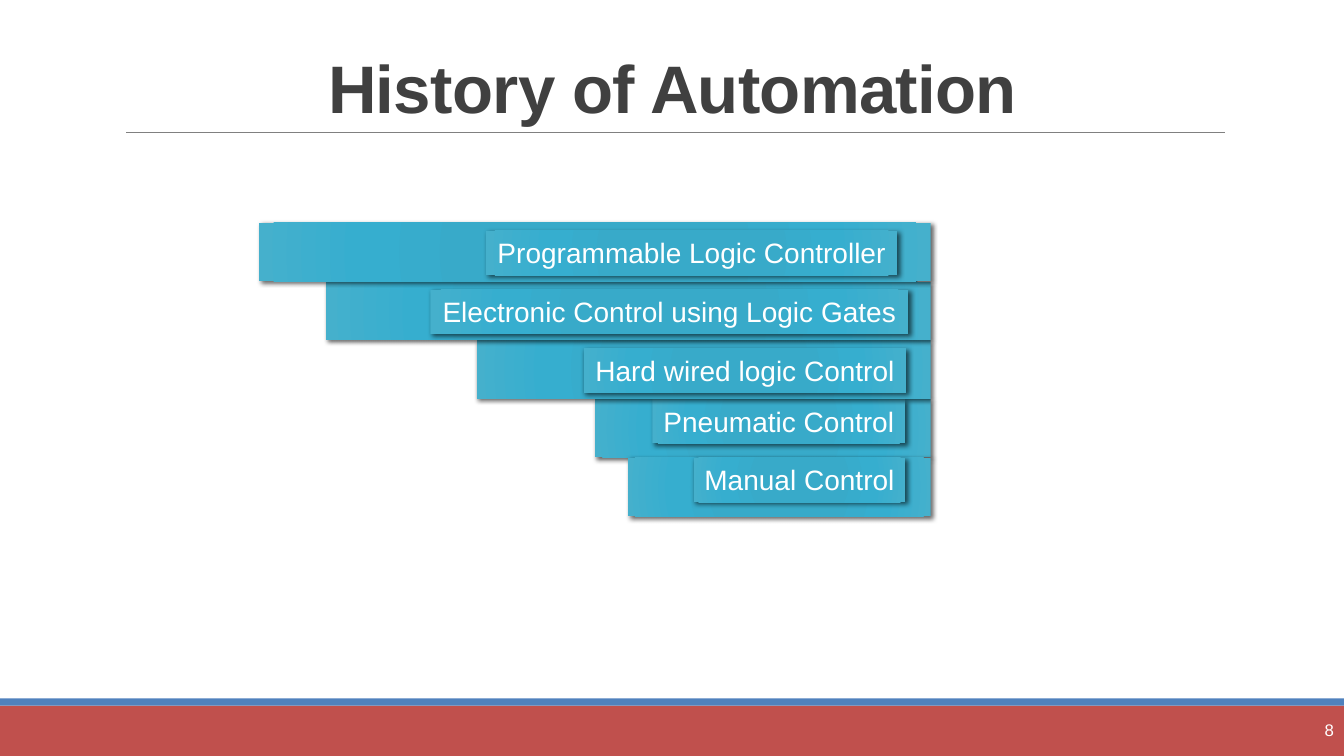
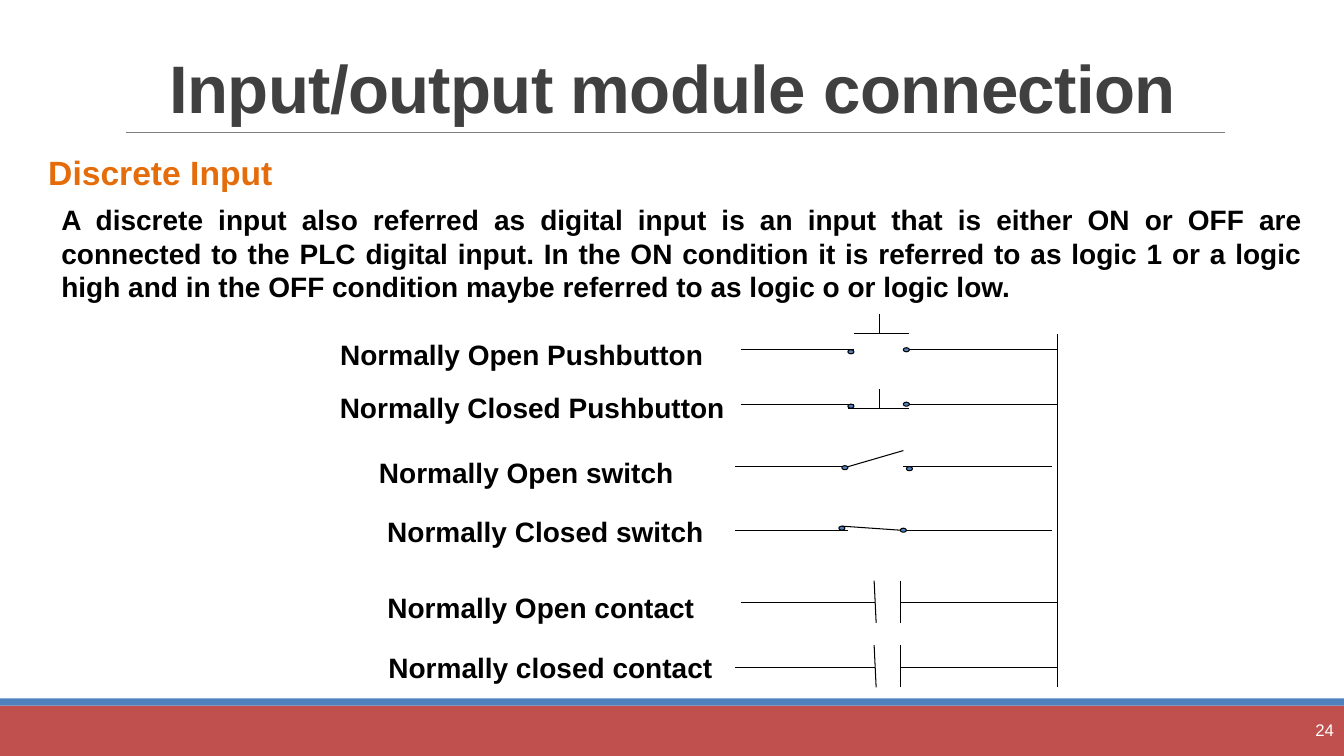
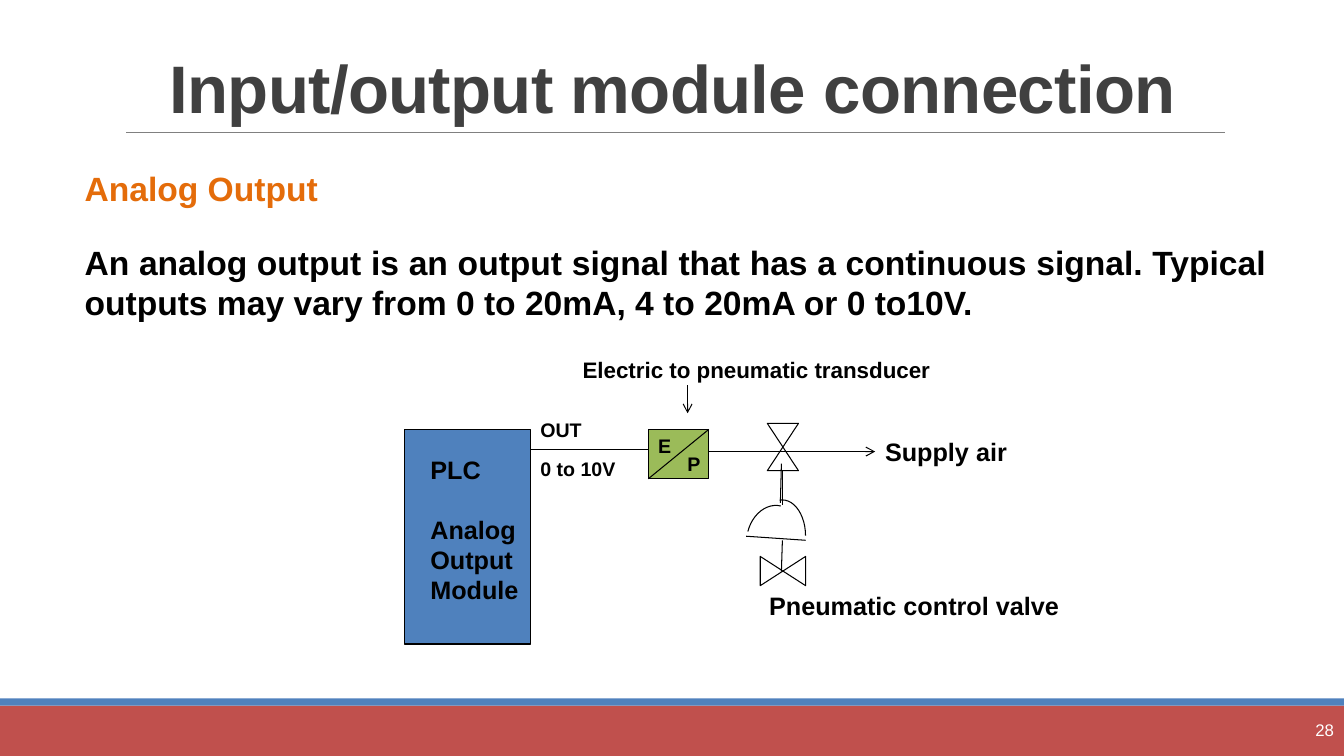
from dataclasses import dataclass
from typing import NamedTuple

from lxml import etree
from pptx import Presentation
from pptx import util as u
from pptx.dml.color import RGBColor
from pptx.enum import shapes, text
from pptx.oxml import parse_xml
from pptx.oxml.ns import nsdecls, qn

FONT = "Arial"
BLACK, WHITE, GREY, TITLE = "000000", "FFFFFF", "808080", "404040"
RED, BLUE, GREEN, ORANGE = "C0504D", "4F81BD", "9BBB59", "E46C0A"
BAR_STOPS = ((0, "35AACA"), (34, "38AAC9"), (70, "36AECF"), (100, "45B0CC"))
WIDTH, HEIGHT = 13.33, 7.5
SHAPE = shapes.MSO_SHAPE
ALIGN = text.PP_ALIGN
ANCHOR = text.MSO_ANCHOR


class Box(NamedTuple):
    left: float
    top: float
    width: float
    height: float

    def lengths(self) -> list:
        return [u.Inches(value) for value in self]


@dataclass
class Step:
    name: str
    row: int
    bar_left: float
    label_left: float
    label_width: float
    label_drop: float


@dataclass
class Label:
    words: str
    box: Box
    size: float


# Shared drawing helpers
def rgb(value: str) -> RGBColor:
    return RGBColor.from_string(value)


def write(frame, words: str, *, size: float, color: str = BLACK, bold: bool = True,
          align=ALIGN.LEFT, anchor=ANCHOR.TOP, wrap: bool = True) -> None:
    frame.text = words
    frame.word_wrap = wrap
    frame.auto_size = text.MSO_AUTO_SIZE.NONE
    frame.vertical_anchor = anchor
    for para in frame.paragraphs:
        para.alignment = align
        for span in para.runs:
            span.font.name = FONT
            span.font.size = u.Pt(size)
            span.font.bold = bold
            span.font.color.rgb = rgb(color)


def add_text(page, words: str, box: Box, **style):
    frame = page.shapes.add_textbox(*box.lengths()).text_frame
    write(frame, words, **style)
    return frame


def paint(shape, fill: str = "", line: str = "", weight: float = 0.75) -> None:
    shape.shadow.inherit = False
    if fill:
        shape.fill.solid()
        shape.fill.fore_color.rgb = rgb(fill)
    else:
        shape.fill.background()
    if line:
        shape.line.color.rgb = rgb(line)
        shape.line.width = u.Pt(weight)
    else:
        shape.line.fill.background()


def add_shape(page, kind, box: Box, fill: str = "", line: str = ""):
    shape = page.shapes.add_shape(kind, *box.lengths())
    paint(shape, fill, line)
    return shape


def add_line(page, x1: float, y1: float, x2: float, y2: float, *,
             color: str = BLACK, weight: float = 0.75, arrow: bool = False) -> None:
    ends = [u.Inches(value) for value in (x1, y1, x2, y2)]
    line = page.shapes.add_connector(shapes.MSO_CONNECTOR.STRAIGHT, *ends)
    line.line.color.rgb = rgb(color)
    line.line.width = u.Pt(weight)
    if arrow:
        etree.SubElement(line.line._get_or_add_ln(), qn("a:tailEnd"), type="arrow")
    etree.SubElement(line._element.spPr, qn("a:effectLst"))


def add_outline(page, points: list[tuple[float, float]]) -> None:
    start, *rest = [(u.Inches(x), u.Inches(y)) for x, y in points]
    builder = page.shapes.build_freeform(*start)
    builder.add_line_segments(rest, close=True)
    paint(builder.convert_to_shape(), line=BLACK)


def add_page(deck, title: str, number: int):
    page = deck.slides.add_slide(deck.slide_layouts[5])
    # Footer bands and title rule
    add_shape(page, SHAPE.RECTANGLE, Box(0, 7, WIDTH, 0.5), RED)
    add_shape(page, SHAPE.RECTANGLE, Box(0, 6.93, WIDTH, 0.07), BLUE)
    add_line(page, 1.25, 1.31, 12.15, 1.31, color=GREY, weight=0.5)
    # Title
    holder = page.shapes.title
    holder.left, holder.top, holder.width, holder.height = Box(1.17, 0.17, 11, 1.14).lengths()
    write(holder.text_frame, title, size=48, color=TITLE,
          align=ALIGN.CENTER, anchor=ANCHOR.BOTTOM)
    para = holder.text_frame.paragraphs[0]
    para.line_spacing = 0.85
    para.runs[0].font._element.set("spc", "-50")
    # Page number
    add_text(page, str(number), Box(11.9, 7.04, 1.43, 0.4), size=12, color=WHITE,
             bold=False, align=ALIGN.RIGHT, anchor=ANCHOR.MIDDLE)
    return page


# History of Automation
def add_glossy_bar(page, box: Box):
    bar = add_shape(page, SHAPE.RECTANGLE, box)
    stops = "".join(f'<a:gs pos="{place * 1000}"><a:srgbClr val="{color}"/></a:gs>'
                    for place, color in BAR_STOPS)
    gradient = parse_xml(
        f'<a:gradFill {nsdecls("a")} rotWithShape="1"><a:gsLst>{stops}</a:gsLst>'
        '<a:path path="circle"><a:fillToRect l="100000" t="100000" r="100000" b="100000"/>'
        '</a:path></a:gradFill>')
    shadow = parse_xml(
        f'<a:outerShdw {nsdecls("a")} blurRad="{u.Pt(3.5)}" dist="{u.Pt(2)}" dir="2700000"'
        ' algn="tl" rotWithShape="0"><a:srgbClr val="000000"><a:alpha val="60000"/>'
        '</a:srgbClr></a:outerShdw>')
    props = bar._element.spPr
    props.replace(props.find(qn("a:noFill")), gradient)
    props.find(qn("a:effectLst")).append(shadow)
    return bar


def build_history(deck) -> None:
    page = add_page(deck, "History of Automation", 8)
    right, top, pitch = 9.23, 2.21, 0.583
    steps = [
        Step("Pneumatic Control", 3, 5.9, 6.47, 2.51, 0),
        Step("Hard wired logic Control", 2, 4.73, 5.79, 3.2, 0.08),
        Step("Electronic Control using Logic Gates", 1, 3.23, 4.27, 4.74, 0.08),
        Step("Programmable Logic Controller", 0, 2.57, 4.82, 4.08, 0.08),
        Step("Manual Control", 4, 6.23, 6.88, 2.1, 0),
    ]
    for step in steps:
        y = top + step.row * pitch
        add_glossy_bar(page, Box(step.bar_left, y, right - step.bar_left, 0.58))
        label = add_glossy_bar(
            page, Box(step.label_left, y + step.label_drop, step.label_width, 0.44))
        write(label.text_frame, step.name, size=20, color=WHITE, bold=False,
              align=ALIGN.CENTER, wrap=False)


# Discrete input
RAIL = 10.49


def add_terminal(page, x: float, y: float) -> None:
    add_shape(page, SHAPE.OVAL, Box(x, y, 0.06, 0.04), BLUE, BLACK)


def add_pushbutton(page, y: float, plate_left: float, plate_y: float) -> None:
    add_line(page, 7.35, y, 8.47, y)
    add_line(page, 9.02, y, RAIL, y)
    add_terminal(page, 8.41, y)
    add_terminal(page, 8.96, y - 0.02)
    add_line(page, plate_left, plate_y, 9.02, plate_y)
    add_line(page, 8.72, plate_y - 0.19, 8.72, plate_y)


def add_switch(page, y: float, lever: tuple[float, float, float, float],
               terminals: list[tuple[float, float]]) -> None:
    add_line(page, 7.29, y, 8.41, y)
    add_line(page, 8.96, y, 10.43, y)
    add_line(page, *lever)
    for x, terminal_y in terminals:
        add_terminal(page, x, terminal_y)


def add_contact(page, y: float, lead_left: float) -> None:
    add_line(page, lead_left, y, 8.68, y)
    add_line(page, 8.93, y, RAIL, y)
    add_line(page, 8.67, y - 0.22, 8.69, y + 0.2)
    add_line(page, 8.93, y - 0.22, 8.93, y + 0.2)


def build_discrete_input(deck) -> None:
    page = add_page(deck, "Input/output module connection", 24)
    add_text(page, "Discrete Input", Box(0.38, 1.46, 3.15, 0.5), size=24, color=ORANGE)
    add_text(page, "A discrete input also referred as digital input is an input that is either "
             "ON or OFF are connected to the PLC digital input. In the ON condition it is "
             "referred to as logic 1 or a logic high and in the OFF condition maybe referred "
             "to as logic o or logic low.",
             Box(0.51, 1.96, 12.51, 1.11), size=20, align=ALIGN.JUSTIFY)
    # Ladder of input devices
    add_line(page, RAIL, 3.31, RAIL, 6.82)
    add_pushbutton(page, 3.47, 8.47, 3.31)
    add_pushbutton(page, 4.01, 8.41, 4.05)
    add_switch(page, 4.63, (8.41, 4.63, 8.96, 4.47), [(8.35, 4.62), (8.99, 4.63)])
    add_switch(page, 5.26, (8.35, 5.22, 8.93, 5.26), [(8.32, 5.22), (8.93, 5.24)])
    add_contact(page, 5.98, 7.35)
    add_contact(page, 6.62, 7.29)
    # Device names
    names = [
        Label("Normally Open Pushbutton", Box(3.06, 3.3, 4.23, 0.44), 20),
        Label("Normally Closed Pushbutton", Box(3.06, 3.82, 4.44, 0.44), 20),
        Label("Normally Open switch", Box(3.65, 4.47, 3.14, 0.44), 20),
        Label("Normally Closed switch", Box(3.73, 5.06, 3.36, 0.44), 20),
        Label("Normally Open contact", Box(3.73, 5.81, 3.27, 0.44), 20),
        Label("Normally closed contact", Box(3.74, 6.4, 3.44, 0.44), 20),
    ]
    for name in names:
        add_text(page, name.words, name.box, size=name.size, align=ALIGN.CENTER, wrap=False)


# Analog output
def build_analog_output(deck) -> None:
    page = add_page(deck, "Input/output module connection", 28)
    add_text(page, "Analog Output", Box(0.74, 1.62, 2.78, 0.51), size=24, color=ORANGE)
    add_text(page, "An analog output is an output signal that has a continuous signal. Typical "
             "outputs may vary from 0 to 20mA, 4 to 20mA or 0 to10V.",
             Box(0.74, 2.35, 11.92, 0.91), size=24, align=ALIGN.JUSTIFY)
    # Module and transducer
    add_shape(page, SHAPE.RECTANGLE, Box(4.01, 4.26, 1.25, 2.13), BLUE, BLACK)
    module = add_text(page, "PLC\nAnalog\nOutput\nModule", Box(4.17, 4.46, 1.09, 1.61),
                      size=18, wrap=False)
    module.paragraphs[1].space_before = u.Pt(21)
    add_shape(page, SHAPE.RECTANGLE, Box(6.43, 4.26, 0.6, 0.49), GREEN, BLACK)
    # Signal, air and stem lines
    for ends in [
        (5.26, 4.46, 6.43, 4.46),
        (6.43, 4.75, 7.03, 4.26),
        (7.03, 4.48, 7.76, 4.48),
        (7.76, 4.67, 7.76, 5.01),
        (7.75, 4.6, 7.74, 4.99),
        (7.4, 5.32, 7.99, 5.36),
        (7.75, 5.67, 7.76, 5.36),
    ]:
        add_line(page, *ends)
    add_line(page, 7.76, 4.48, 8.68, 4.48, arrow=True)
    add_line(page, 6.82, 3.82, 6.82, 4.1, arrow=True)
    # Valves and actuator dome
    add_outline(page, [(7.61, 4.2), (7.92, 4.2), (7.61, 4.67), (7.92, 4.67)])
    add_outline(page, [(7.54, 5.52), (7.99, 5.81), (7.99, 5.52), (7.54, 5.81)])
    dome_right = add_shape(page, SHAPE.ARC, Box(7.53, 4.96, 0.46, 0.71), line=BLACK)
    dome_right.adjustments[0] = 159.45
    dome_left = add_shape(page, SHAPE.ARC, Box(7.34, 5.08, 0.65, 0.51), line=BLACK)
    dome_left.rotation = 284.1
    # Labels
    for label in [
        Label("OUT", Box(5.26, 4.1, 0.62, 0.34), 14),
        Label("0 to 10V", Box(5.26, 4.48, 0.95, 0.34), 14),
        Label("E", Box(6.43, 4.26, 0.39, 0.34), 14),
        Label("P", Box(6.72, 4.43, 0.39, 0.34), 14),
        Label("Electric to pneumatic transducer", Box(5.68, 3.48, 3.7, 0.37), 16),
        Label("Supply air", Box(8.68, 4.28, 1.42, 0.4), 18),
        Label("Pneumatic control valve", Box(7.53, 5.81, 3.11, 0.4), 18),
    ]:
        add_text(page, label.words, label.box, size=label.size, wrap=False)


def main() -> None:
    deck = Presentation()
    deck.slide_width, deck.slide_height = u.Inches(WIDTH), u.Inches(HEIGHT)
    build_history(deck)
    build_discrete_input(deck)
    build_analog_output(deck)
    deck.save("out.pptx")


if __name__ == "__main__":
    main()
